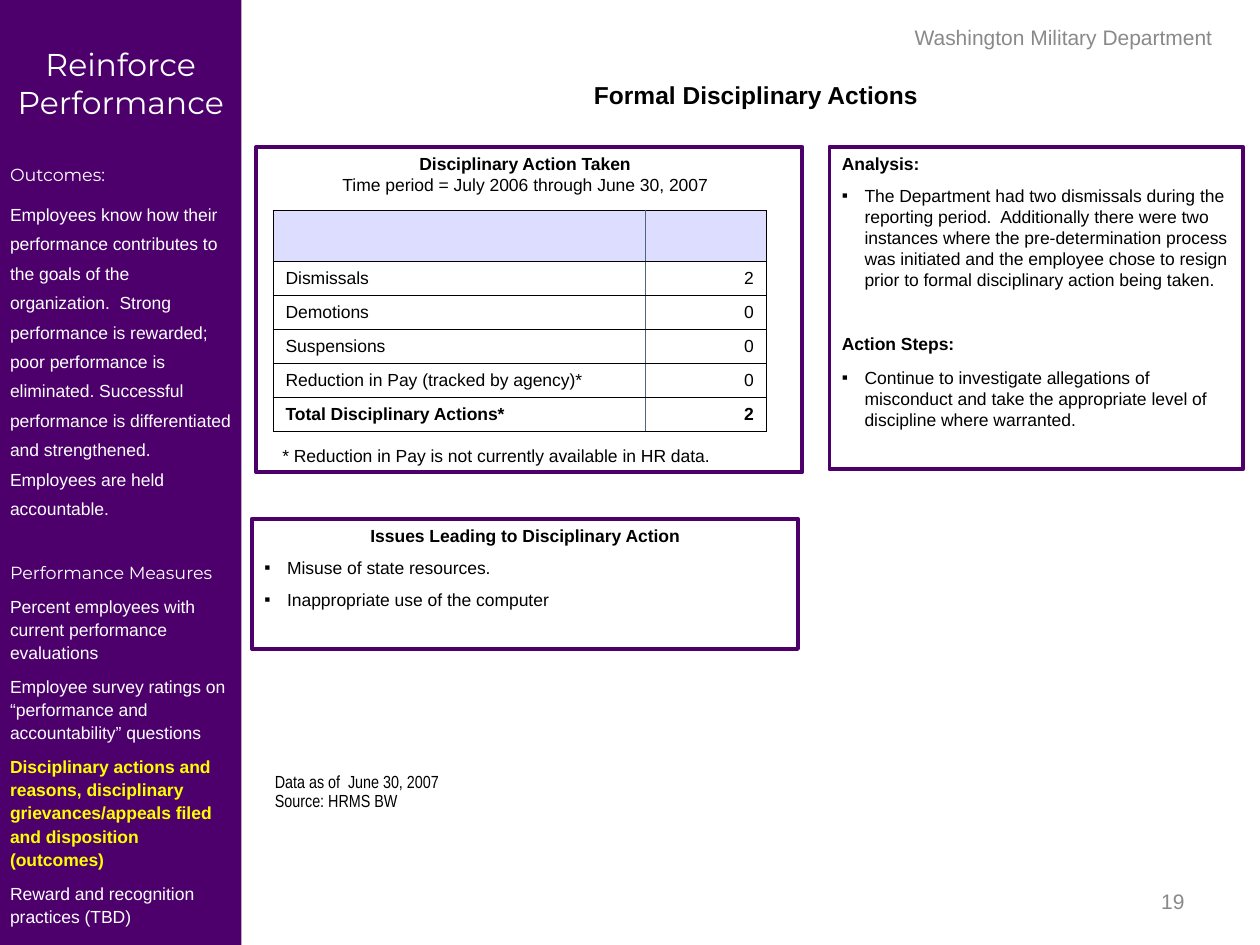
"""Build the formal disciplinary actions slide."""
import dataclasses

import pptx
import pptx.dml.color
import pptx.enum.shapes
import pptx.enum.text
import pptx.oxml
import pptx.oxml.ns
import pptx.util
from lxml import etree

ALIGN = pptx.enum.text.PP_ALIGN
ANCHOR = pptx.enum.text.MSO_ANCHOR
COLS, ROWS = 120, 90


@dataclasses.dataclass(frozen=True)
class Theme:
    """Hold colours, fonts and type sizes."""
    purple: str = "4D006C"
    yellow: str = "FFFF00"
    white: str = "FFFFFF"
    black: str = "000000"
    gray: str = "898989"
    lilac: str = "DDDDFF"
    slate: str = "4D6776"
    sans: str = "Arial"
    slim: str = "Arial Narrow"
    round: str = "Montserrat"
    body: float = 10
    note: float = 12
    head: float = 14
    side: float = 18
    gap: float = 6.2
    frame: float = 2.25
    rule: float = 0.45


THEME = Theme()


def paint(text):
    """Return a colour from its hex text."""
    return pptx.dml.color.RGBColor.from_string(text)


def span(count):
    """Return the length of a number of grid units."""
    return pptx.util.Inches(count * 10 / COLS)


def child(parent, tag, **attrs):
    """Append a drawing element to its parent."""
    return etree.SubElement(parent, pptx.oxml.ns.qn(tag), **attrs)


def write(frame, text, size=THEME.body, font=THEME.sans, color=THEME.black,
          bold=False, align=ALIGN.LEFT, before=0, lines=None, bullet=False):
    """Write one formatted paragraph into a text frame."""
    first = frame.paragraphs[0]
    para = frame.add_paragraph() if first.runs else first
    if bullet:
        props = para._p.get_or_add_pPr()
        indent = pptx.util.Inches(0.18)
        props.set("marL", str(indent))
        props.set("indent", str(-indent))
        child(child(props, "a:buClr"), "a:srgbClr", val=color)
        child(props, "a:buFont", typeface=THEME.sans)
        child(props, "a:buChar", char="▪")
    para.alignment = align
    para.space_before = pptx.util.Pt(before)
    if lines:
        para.line_spacing = lines
    run = para.add_run()
    run.text = text
    run.font.size = pptx.util.Pt(size)
    run.font.name = font
    run.font.bold = bold
    run.font.color.rgb = paint(color)


def setup(frame, anchor=ANCHOR.TOP):
    """Make a frame wrap at a fixed size."""
    frame.word_wrap = True
    frame.auto_size = pptx.enum.text.MSO_AUTO_SIZE.NONE
    frame.vertical_anchor = anchor
    return frame


def label(slide, *place, anchor=ANCHOR.TOP):
    """Add a text box on the grid and return its frame."""
    box = slide.shapes.add_textbox(*map(span, place))
    return setup(box.text_frame, anchor)


def panel(slide, *place, fill=None):
    """Add a framed or filled rectangle and return its text frame."""
    kind = pptx.enum.shapes.MSO_SHAPE.RECTANGLE
    box = slide.shapes.add_shape(kind, *map(span, place))
    box.shadow.inherit = False
    if fill:
        box.fill.solid()
        box.fill.fore_color.rgb = paint(fill)
        box.line.fill.background()
    else:
        box.fill.background()
        box.line.color.rgb = paint(THEME.purple)
        box.line.width = pptx.util.Pt(THEME.frame)
    return setup(box.text_frame)


def edge(cell, inner):
    """Draw cell borders, with a slate rule on the inner side."""
    props = cell._tc.get_or_add_tcPr()
    for side in "LRTB":
        line = child(props, "a:ln" + side, w=str(pptx.util.Pt(THEME.rule)))
        color = THEME.slate if side == inner else THEME.black
        child(child(line, "a:solidFill"), "a:srgbClr", val=color)


def grid(slide, rows):
    """Add the table of actions and counts."""
    widths = (35.5, 11.5)
    heights = [4.8] + [3.24] * (len(rows) - 1)
    place = (26, 20, sum(widths), sum(heights))
    table = slide.shapes.add_table(len(rows), 2, *map(span, place)).table
    table.first_row = table.horz_banding = False
    for column, width in zip(table.columns, widths):
        column.width = span(width)
    for y, values in enumerate(rows):
        table.rows[y].height = span(heights[y])
        for x, value in enumerate(values):
            cell = table.cell(y, x)
            edge(cell, "RL"[x])
            cell.fill.solid()
            cell.fill.fore_color.rgb = paint(THEME.white if y else THEME.lilac)
            cell.vertical_anchor = ANCHOR.MIDDLE
            if value:
                write(cell.text_frame, value, bold=y == len(rows) - 1,
                      align=ALIGN.RIGHT if x else ALIGN.LEFT)


def title(slide):
    """Place and write the slide title."""
    box = slide.shapes.title
    box.left, box.top, box.width, box.height = map(span, (24, 7, 96, 6.8))
    write(setup(box.text_frame), "Formal Disciplinary Actions",
          size=THEME.head, bold=True, align=ALIGN.CENTER)


def sidebar(slide):
    """Add the purple column of outcomes and measures."""
    frame = panel(slide, 0, 0, 23, ROWS, fill=THEME.purple)
    frame.margin_left = frame.margin_right = pptx.util.Inches(0.08)
    frame.margin_top = pptx.util.Inches(0.36)
    light = dict(color=THEME.white)
    head = dict(light, font=THEME.round, before=24.4)
    item = dict(light, before=THEME.gap, lines=1.1)
    write(frame, "Reinforce Performance", size=THEME.side, font=THEME.round,
          align=ALIGN.CENTER, **light)
    write(frame, "Outcomes:", **head)
    write(frame, "Employees know how their performance contributes to the "
          "goals of the organization.  Strong performance is rewarded; poor "
          "performance is eliminated. Successful performance is "
          "differentiated and strengthened. Employees are held accountable.",
          **dict(item, lines=1.4))
    write(frame, "Performance Measures", **head)
    write(frame, "Percent employees with current performance evaluations", **item)
    write(frame, "Employee survey ratings on “performance and "
          "accountability” questions", **item)
    write(frame, "Disciplinary actions and reasons, disciplinary "
          "grievances/appeals filed and disposition (outcomes)",
          **dict(item, color=THEME.yellow, bold=True))
    write(frame, "Reward and recognition practices (TBD)", **item)


def issues(slide):
    """Add the panel of issues."""
    frame = panel(slide, 24, 49.4, 52, 12.4)
    write(frame, "Issues Leading to Disciplinary Action", bold=True,
          align=ALIGN.CENTER)
    for text in ("Misuse of state resources.",
                 "Inappropriate use of the computer"):
        write(frame, text, bullet=True, before=THEME.gap)


def review(slide):
    """Add the panel of analysis and action steps."""
    frame = panel(slide, 79, 14, 39.4, 30.7)
    write(frame, "Analysis:", bold=True)
    write(frame, "The Department had two dismissals during the reporting "
          "period.  Additionally there were two instances where the "
          "pre-determination process was initiated and the employee chose to "
          "resign prior to formal disciplinary action being taken.",
          bullet=True, before=THEME.gap)
    write(frame, "Action Steps:", bold=True, before=24.4)
    write(frame, "Continue to investigate allegations of misconduct and take "
          "the appropriate level of discipline where warranted.",
          bullet=True, before=7.5)


def actions(slide):
    """Add the panel with the table, its heading and its footnote."""
    grid(slide, [("", ""), ("Dismissals", "2"), ("Demotions", "0"),
                 ("Suspensions", "0"),
                 ("Reduction in Pay (tracked by agency)*", "0"),
                 ("Total Disciplinary Actions*", "2")])
    panel(slide, 24.4, 14, 52, 31)
    head = label(slide, 24, 14, 52, 5.3)
    write(head, "Disciplinary Action Taken", bold=True, align=ALIGN.CENTER)
    write(head, "Time period = July 2006 through June 30, 2007",
          align=ALIGN.CENTER)
    write(label(slide, 25.7, 41.8, 52, 3.2),
          "* Reduction in Pay is not currently available in HR data.")


def margins(slide):
    """Add the department name, page number and data source."""
    gray = dict(size=THEME.note, color=THEME.gray)
    write(label(slide, 82.3, 1.1, 38, 4.8, anchor=ANCHOR.MIDDLE),
          "Washington Military Department", align=ALIGN.CENTER, **gray)
    write(label(slide, 86, 83.4, 28, 4.8, anchor=ANCHOR.MIDDLE), "19",
          align=ALIGN.RIGHT, **gray)
    slim = dict(font=THEME.slim, lines=0.7)
    frame = label(slide, 25, 73.4, 58, 4.4)
    write(frame, "Data as of  June 30, 2007", **slim)
    write(frame, "Source: HRMS BW", before=2.5, **slim)


def main():
    """Build and save the slide."""
    deck = pptx.Presentation()
    deck.slide_width, deck.slide_height = span(COLS), span(ROWS)
    slide = deck.slides.add_slide(deck.slide_layouts[5])
    for part in (title, actions, issues, review, margins, sidebar):
        part(slide)
    deck.save("out.pptx")


if __name__ == "__main__":
    main()
